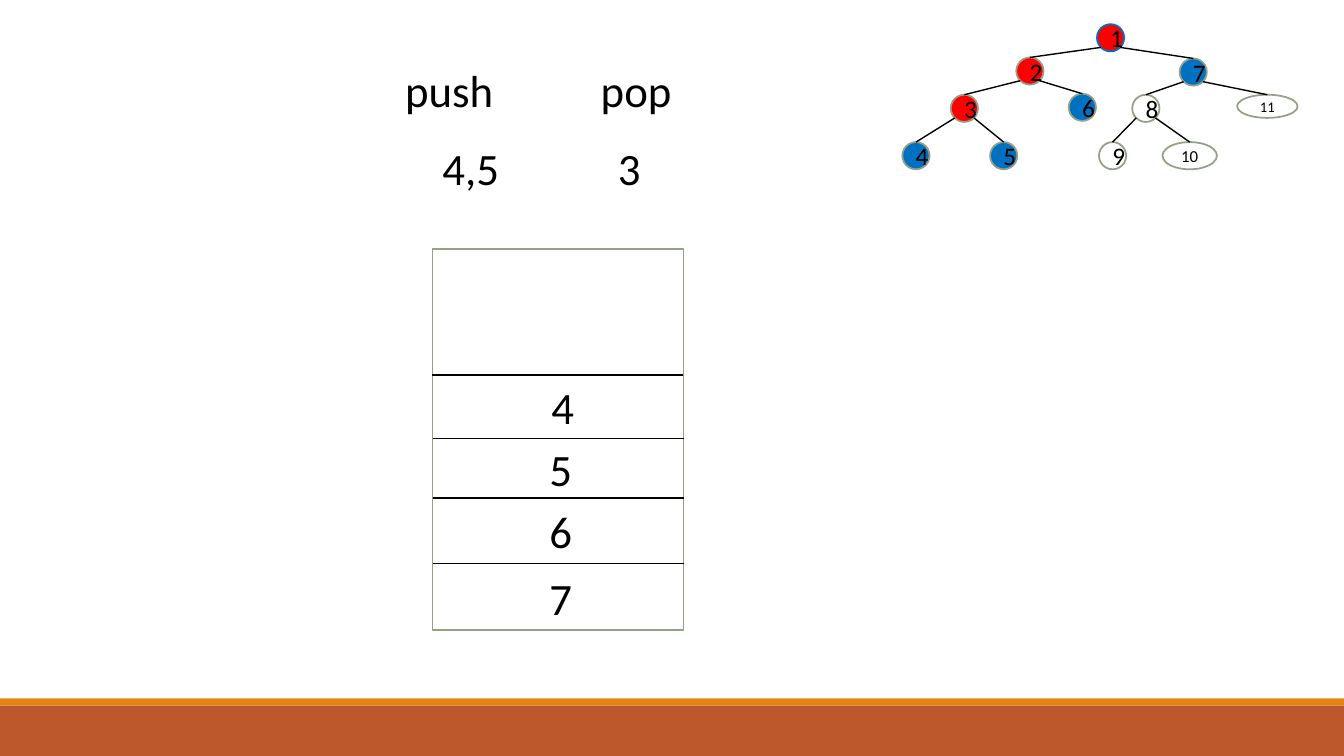
from dataclasses import dataclass
from math import sqrt

from lxml.etree import SubElement
from pptx import Presentation
from pptx.dml.color import RGBColor
from pptx.enum.shapes import MSO_CONNECTOR as Wire, MSO_SHAPE as Kind
from pptx.enum.text import MSO_ANCHOR as Anchor, PP_ALIGN as Align
from pptx.oxml.ns import qn
from pptx.shapes.autoshape import Shape
from pptx.shapes.connector import Connector
from pptx.text.text import TextFrame
from pptx.util import Inches, Pt

COLORS = {
    "black": "000000", "white": "FFFFFF", "red": "FF0000", "blue": "0070C0",
    "sage": "94A088", "rust": "BD582C", "orange": "E48312",
}
FONT = "Calibri"
DOT = 0.27


@dataclass
class Label:
    text: str
    left: float
    top: float
    width: float = 0.86
    height: float = 0.64


@dataclass
class Node:
    text: str
    left: float
    top: float
    fill: str = "white"
    line: str = "sage"
    width: float = DOT
    height: float = DOT
    size: float = 18


@dataclass
class Edge:
    """A branch from a parent node to its left or right child."""
    start: str
    end: str
    right: bool


LABELS = [
    Label("push", 3.92, 0.57, 1.24, 0.94),
    Label("pop", 5.86, 0.57, 0.91),
    Label("4,5", 4.29, 1.35),
    Label("3", 6.03, 1.35),
]
STACK = [
    Label("4", 5.37, 3.72),
    Label("5", 5.35, 4.33),
    Label("6", 5.35, 4.95),
    Label("7", 5.35, 5.61),
]
RULES = [(4.28, 3.72), (4.29, 4.35), (4.29, 4.94), (4.29, 5.59)]
NODES = [
    Node("1", 10.88, 0.24, "red", "blue"),
    Node("2", 10.08, 0.57, "red"),
    Node("7", 11.7, 0.58, "blue"),
    Node("3", 9.43, 0.94, "red"),
    Node("6", 10.6, 0.93, "blue"),
    Node("4", 8.95, 1.41, "blue"),
    Node("5", 9.82, 1.41, "blue"),
    Node("8", 11.23, 0.94),
    Node("9", 10.9, 1.41),
    Node("10", 11.53, 1.41, width=0.54, size=12),
    Node("11", 12.27, 0.94, width=0.6, height=0.23, size=10.5),
]
PAIRS = [("1", "2", "7"), ("2", "3", "6"), ("3", "4", "5"),
         ("7", "8", "11"), ("8", "9", "10")]
EDGES = [Edge(top, kid, right)
         for top, *kids in PAIRS
         for right, kid in zip((False, True), kids)]


def paint(name: str) -> RGBColor:
    return RGBColor.from_string(COLORS[name])


def write(frame: TextFrame, text: str, size: float) -> None:
    frame.word_wrap = True
    run = frame.paragraphs[0].add_run()
    run.text = text
    run.font.name = FONT
    run.font.size = Pt(size)
    run.font.color.rgb = paint("black")


def add_form(shapes, kind: Kind, left: float, top: float, width: float,
             height: float, fill: str, line: str = "") -> Shape:
    form = shapes.add_shape(kind, Inches(left), Inches(top),
                            Inches(width), Inches(height))
    form.shadow.inherit = False
    form.fill.solid()
    form.fill.fore_color.rgb = paint(fill)
    if line:
        form.line.color.rgb = paint(line)
        form.line.width = Pt(1.25)
    else:
        form.line.fill.background()
    return form


def add_line(shapes, x1: float, y1: float, x2: float, y2: float) -> Connector:
    line = shapes.add_connector(Wire.STRAIGHT, Inches(x1), Inches(y1),
                                Inches(x2), Inches(y2))
    line.line.color.rgb = paint("black")
    line.line.width = Pt(1)
    SubElement(line._element.spPr, qn("a:effectLst"))
    return line


def add_label(shapes, label: Label) -> None:
    box = shapes.add_textbox(Inches(label.left), Inches(label.top),
                             Inches(label.width), Inches(label.height))
    write(box.text_frame, label.text, 32)


def add_node(shapes, node: Node) -> Shape:
    form = add_form(shapes, Kind.OVAL, node.left, node.top, node.width,
                    node.height, node.fill, node.line)
    frame = form.text_frame
    frame.vertical_anchor = Anchor.MIDDLE
    frame.paragraphs[0].alignment = Align.CENTER
    write(frame, node.text, node.size)
    return form


def add_edge(shapes, edge: Edge, nodes: dict[str, Node],
             forms: dict[str, Shape]) -> None:
    """Leave the parent at its lower diagonal and meet the child's top."""
    top, kid = nodes[edge.start], nodes[edge.end]
    reach = DOT / 2 / sqrt(2)
    side = reach if edge.right else -reach
    line = add_line(shapes, top.left + DOT / 2 + side,
                    top.top + DOT / 2 + reach,
                    kid.left + kid.width / 2, kid.top)
    line.end_connect(forms[edge.end], 0)


def main() -> None:
    deck = Presentation()
    deck.slide_width, deck.slide_height = Inches(13.33), Inches(7.5)
    shapes = deck.slides.add_slide(deck.slide_layouts[6]).shapes

    add_form(shapes, Kind.RECTANGLE, 0, 7, 13.33, 0.5, "rust")
    add_form(shapes, Kind.RECTANGLE, 0, 6.93, 13.33, 0.07, "orange")

    add_form(shapes, Kind.RECTANGLE, 4.29, 2.47, 2.49, 3.78, "white", "sage")
    for left, y in RULES:
        add_line(shapes, left, y, left + 2.49, y)
    for label in LABELS + STACK:
        add_label(shapes, label)

    nodes = {node.text: node for node in NODES}
    forms = {node.text: add_node(shapes, node) for node in NODES}
    for edge in EDGES:
        add_edge(shapes, edge, nodes, forms)

    deck.save("out.pptx")


if __name__ == "__main__":
    main()
